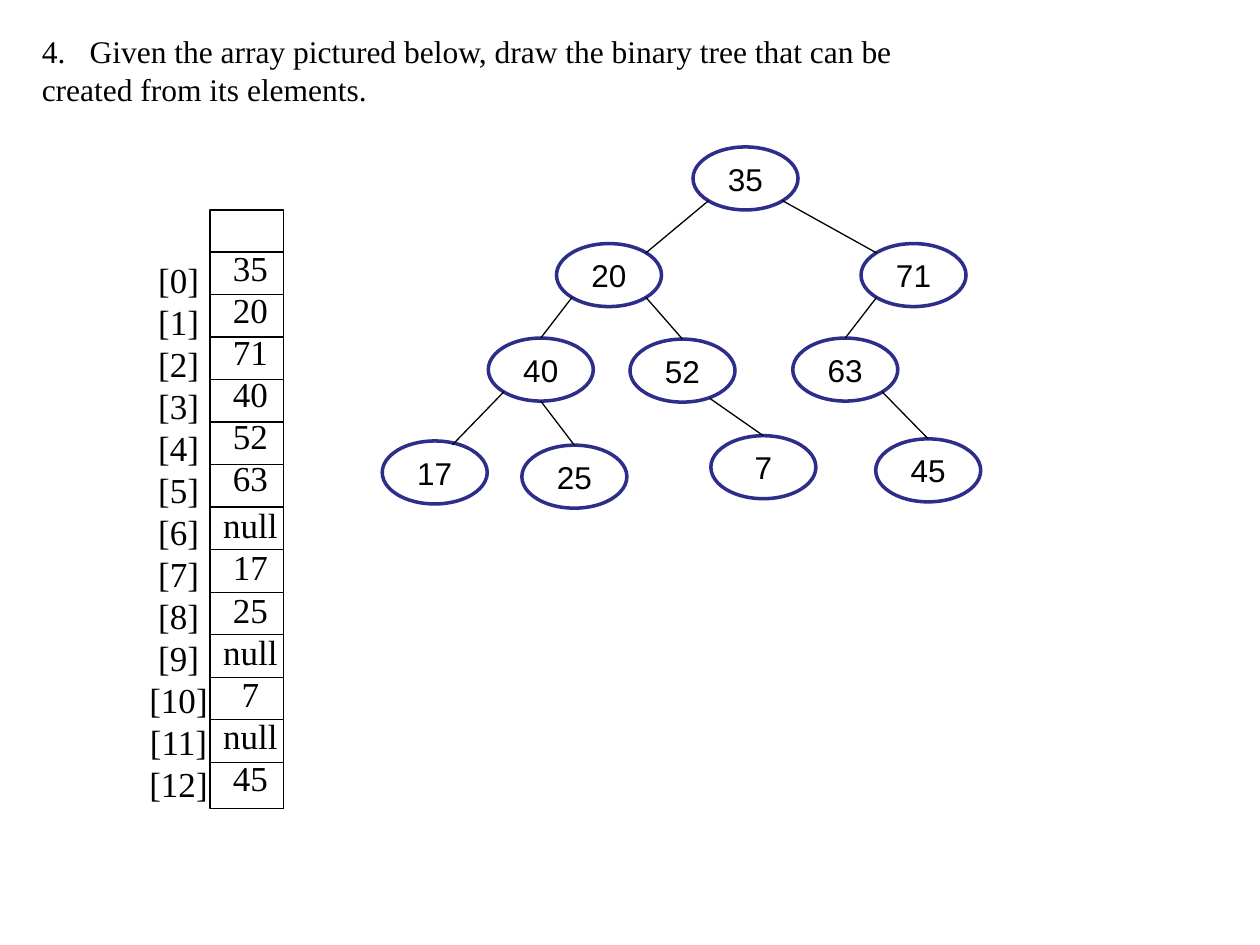
from dataclasses import dataclass
from typing import Optional

from lxml.etree import SubElement
from pptx import Presentation
from pptx.dml.color import RGBColor
from pptx.enum.shapes import MSO_CONNECTOR, MSO_SHAPE
from pptx.enum.text import MSO_ANCHOR, MSO_AUTO_SIZE, PP_ALIGN
from pptx.oxml.ns import qn
from pptx.util import Inches, Pt


@dataclass(frozen=True)
class Theme:
    ink: RGBColor = RGBColor(0, 0, 0)
    paper: RGBColor = RGBColor(255, 255, 255)
    node_line: RGBColor = RGBColor(0x2D, 0x2D, 0x8A)
    serif: str = "Times New Roman"
    sans: str = "Arial"
    body: int = 18
    array: int = 20
    thin: float = 0.75
    thick: float = 2
    leading: float = 1.2


@dataclass(frozen=True)
class Site:
    x: float
    y: float


@dataclass(frozen=True)
class Node:
    value: int
    col: float
    row: float
    leaves: Optional[Site] = None
    enters: Optional[Site] = None

    def point(self, site: Site) -> tuple[float, float]:
        return self.col + site.x * NODE_W, self.row + site.y * NODE_H


THEME = Theme()
COLS, ROWS = 120, 90
NODE_W, NODE_H = 10, 6
ARRAY_X, ARRAY_Y, ARRAY_W, ARRAY_H = 20, 20, 7, 57
FIRST_RULE, RULE_STEP = 24, 4.05

TOP, BOTTOM = Site(0.5, 0), Site(0.5, 1)
TOP_LEFT, TOP_RIGHT = Site(0.15, 0.15), Site(0.85, 0.15)
BOTTOM_LEFT, BOTTOM_RIGHT = Site(0.15, 0.85), Site(0.85, 0.85)

TREE = [
    Node(35, 66, 14),
    Node(20, 53, 23.2, BOTTOM_LEFT, TOP_RIGHT),
    Node(71, 82, 23.2, BOTTOM_RIGHT, TOP_LEFT),
    Node(40, 46.5, 32.2, BOTTOM_LEFT, TOP),
    Node(52, 60, 32.3, BOTTOM_RIGHT, TOP),
    Node(63, 75.5, 32.2, BOTTOM_LEFT, TOP),
    None,
    Node(17, 36.4, 42, BOTTOM_LEFT, Site(0.67, 0.06)),
    Node(25, 49.7, 42.4, BOTTOM, TOP),
    None,
    Node(7, 67.7, 41.5, Site(0.76, 0.94), TOP),
    None,
    Node(45, 83.4, 41.8, BOTTOM_RIGHT, TOP),
]


def grid(*units: float) -> list[int]:
    return [Inches(u / 12) for u in units]


def write(tf, lines: list[str], *, size: int, font: str, align=None,
          leading: Optional[float] = None) -> None:
    for i, line in enumerate(lines):
        p = tf.paragraphs[0] if i == 0 else tf.add_paragraph()
        p.alignment = align
        if leading:
            p.line_spacing = Pt(size * leading)
        r = p.add_run()
        r.text = line
        r.font.size = Pt(size)
        r.font.name = font
        r.font.color.rgb = THEME.ink


def add_text(shapes, box: tuple, lines: list[str], **fmt):
    tf = shapes.add_textbox(*grid(*box)).text_frame
    tf.word_wrap = False
    tf.auto_size = MSO_AUTO_SIZE.SHAPE_TO_FIT_TEXT
    write(tf, lines, font=THEME.serif, leading=THEME.leading, **fmt)
    return tf


def add_outline(shapes, kind, box: tuple, color: RGBColor, width: float):
    sp = shapes.add_shape(kind, *grid(*box))
    sp.shadow.inherit = False
    sp.fill.background()
    sp.line.color.rgb = color
    sp.line.width = Pt(width)
    return sp


def add_line(shapes, start: tuple, end: tuple) -> None:
    line = shapes.add_connector(MSO_CONNECTOR.STRAIGHT, *grid(*start, *end))
    line.line.color.rgb = THEME.ink
    line.line.width = Pt(THEME.thin)
    SubElement(line._element.spPr, qn("a:effectLst"))


def number_paragraph(p, start: int, indent: float) -> None:
    pPr = p._p.get_or_add_pPr()
    pPr.set("marL", str(Inches(indent)))
    pPr.set("indent", str(-Inches(indent)))
    SubElement(pPr, qn("a:buFontTx"))
    SubElement(pPr, qn("a:buAutoNum"), type="arabicPeriod", startAt=str(start))


def add_array(s) -> None:
    shapes = s.shapes.add_group_shape().shapes
    add_outline(shapes, MSO_SHAPE.RECTANGLE,
                (ARRAY_X, ARRAY_Y, ARRAY_W, ARRAY_H), THEME.ink, THEME.thin)
    add_text(shapes, (13, 24, 8, 53.8), [f"[{i}]" for i in range(len(TREE))],
             size=THEME.array, align=PP_ALIGN.CENTER)
    for i in range(len(TREE)):
        y = FIRST_RULE + i * RULE_STEP
        add_line(shapes, (ARRAY_X, y), (ARRAY_X + ARRAY_W, y))


def add_values(s) -> None:
    values = [str(n.value) if n else "null" for n in TREE]
    tf = add_text(s.shapes, (20, 22.9, 7.7, 53.8), values,
                  size=THEME.array, align=PP_ALIGN.CENTER)
    tf.paragraphs[values.index("null")].space_before = Pt(3)


def add_question(s) -> None:
    tf = add_text(s.shapes, (2.8, 2.5, 84.2, 8.5), [
        "Given the array pictured below, draw the binary tree that can be",
        "created from its elements.",
    ], size=THEME.body)
    number_paragraph(tf.paragraphs[0], 4, 0.38)


def add_node(s, node: Node) -> None:
    sp = add_outline(s.shapes, MSO_SHAPE.OVAL, (node.col, node.row, NODE_W, NODE_H),
                     THEME.node_line, THEME.thick)
    sp.fill.solid()
    sp.fill.fore_color.rgb = THEME.paper
    sp.text_frame.vertical_anchor = MSO_ANCHOR.MIDDLE
    write(sp.text_frame, [str(node.value)], size=THEME.body, font=THEME.sans,
          align=PP_ALIGN.CENTER)


def add_tree(s) -> None:
    for node in filter(None, TREE):
        add_node(s, node)
    for i, node in enumerate(TREE):
        if i and node:
            parent = TREE[(i - 1) // 2]
            add_line(s.shapes, parent.point(node.leaves), node.point(node.enters))


def main() -> None:
    prs = Presentation()
    prs.slide_width, prs.slide_height = grid(COLS, ROWS)
    s = prs.slides.add_slide(prs.slide_layouts[6])
    add_array(s)
    add_question(s)
    add_values(s)
    add_tree(s)
    prs.save("out.pptx")


if __name__ == "__main__":
    main()
